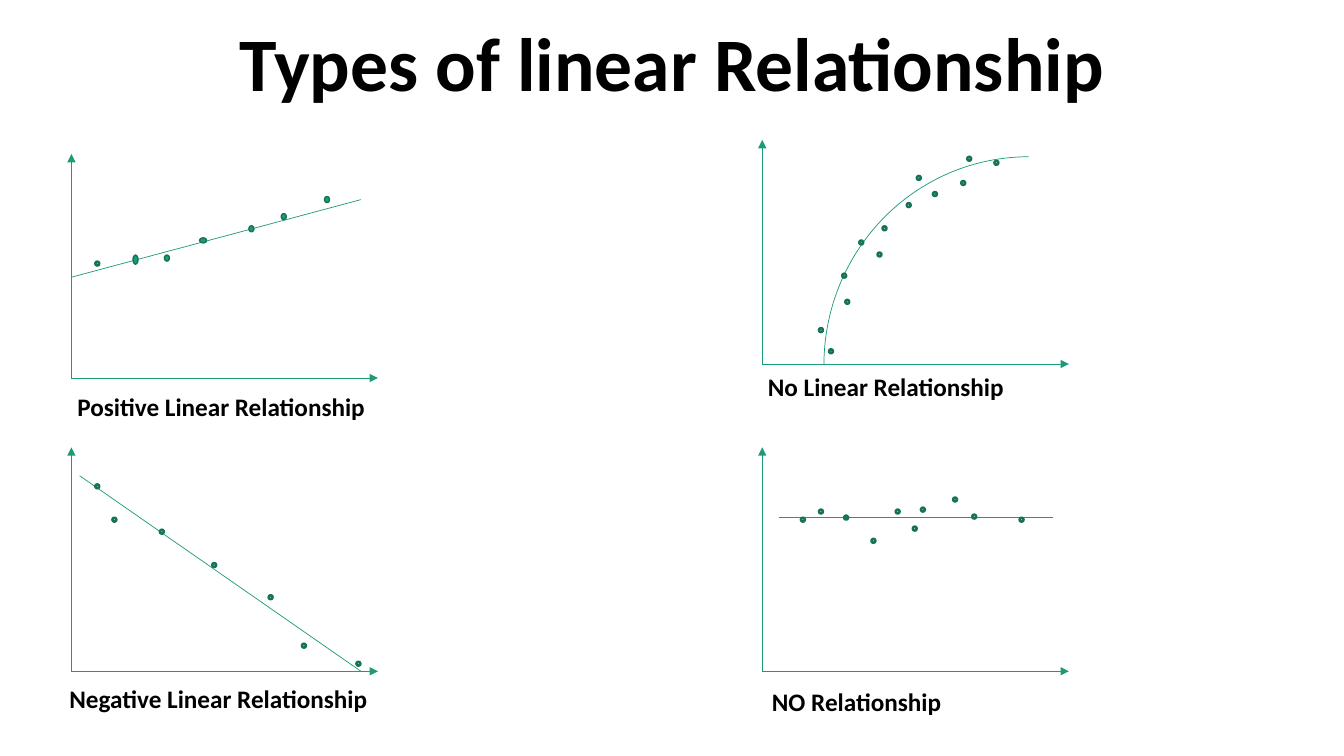
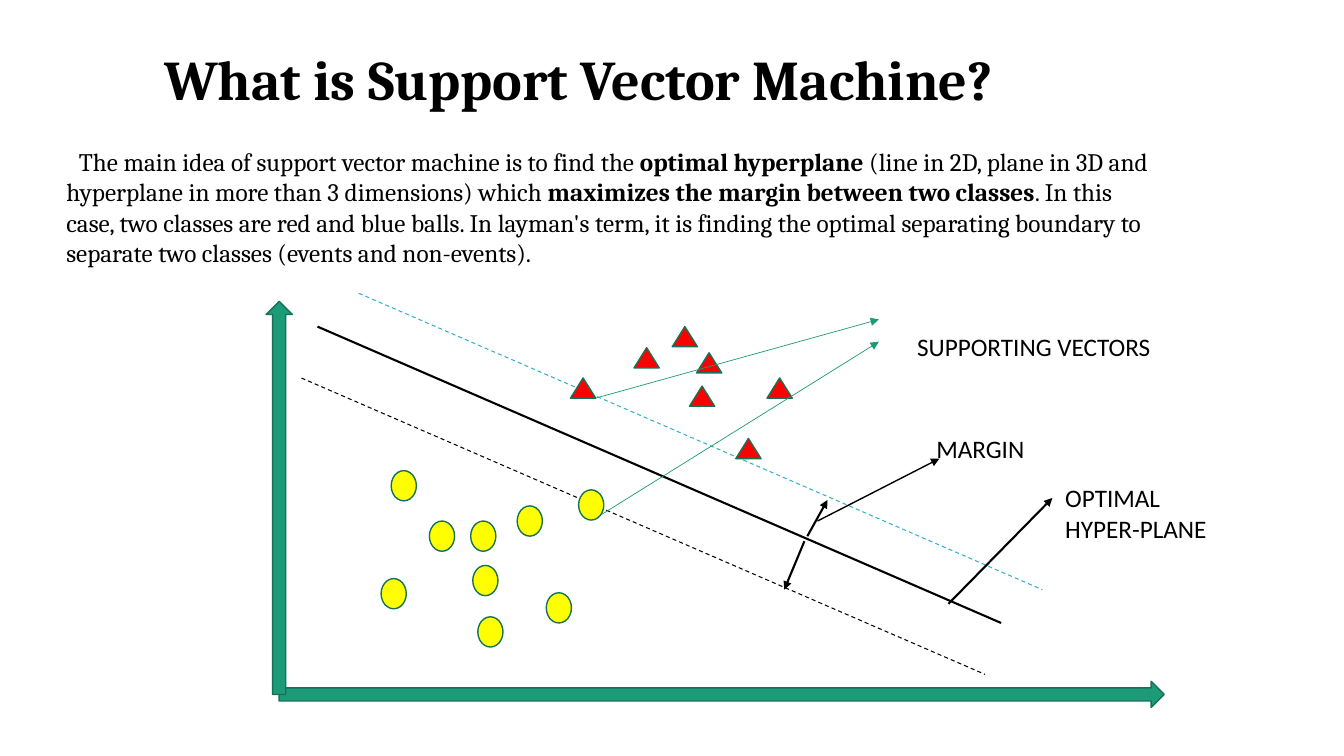
from lxml import etree
from pptx import Presentation
from pptx.dml.color import RGBColor
from pptx.enum import dml, shapes, text
from pptx.oxml.ns import qn
from pptx.util import Pt

GREEN, DARK_GREEN, BLUE = "1D9A78", "157259", "36AFCE"
BLACK, RED, YELLOW = "000000", "FF0000", "FFFF00"
SANS, SERIF = "Calibri", "Cambria"
SHAPE = shapes.MSO_SHAPE
AXIS_WIDTH, AXIS_HEIGHT = 219, 160
DOT = 3.6

POSITIVE_DOTS = [
    (95, 182.2, DOT, 6.5), (200.9, 152.6, DOT, 4.3), (142.6, 169.9, 5, DOT),
    (177.8, 161.3, DOT, 4.3), (231.8, 140.4, DOT, 4.3), (117.4, 182.2, DOT, 4.3),
]
POSITIVE_RINGS = [(67.7, 186.5)]
NEGATIVE_RINGS = [
    (67.7, 345.6), (79.9, 369.4), (113.8, 378), (151.2, 401.8),
    (191.5, 424.8), (215.3, 459.4), (254.2, 472.3),
]
CURVE_RINGS = [
    (654.5, 125.3), (647.3, 144.7), (601.2, 195.1), (690.5, 111.6), (613.4, 171.4),
    (591.8, 249.1), (584.6, 234), (630, 161.3), (709.9, 114.5), (666, 136.8),
    (626.4, 180), (686.2, 128.9), (603.4, 213.8),
]
FLAT_RINGS = [
    (639.4, 363.6), (602.6, 367.9), (694.1, 367.2), (651.6, 375.8), (622.1, 384.5),
    (680.4, 355), (727.9, 369.4), (657.4, 362.2), (571.7, 369.4), (584.6, 363.6),
]
RED_CLASS = [
    (407.5, 270), (497.5, 252), (452.9, 248.4), (525.6, 313.2),
    (480.2, 233.3), (547.9, 270), (492.5, 275.8),
]
YELLOW_CLASS = [
    (413.3, 349.9), (279.4, 336.2), (272.2, 413.3), (306.7, 372.2), (337.7, 403.9),
    (369.4, 361.4), (336.2, 372.2), (341.3, 440.6), (390.2, 423.4),
]


def rgb(hex_color):
    return RGBColor.from_string(hex_color)


def add_blank_slide(deck):
    return deck.slides.add_slide(deck.slide_layouts[6])


def add_line(slide, start, end, color=GREEN, width=0.5, arrow=False, dashed=False):
    line = slide.shapes.add_connector(
        shapes.MSO_CONNECTOR.STRAIGHT, *(Pt(v) for v in (*start, *end)))
    line.line.color.rgb = rgb(color)
    line.line.width = Pt(width)
    if dashed:
        line.line.dash_style = dml.MSO_LINE.DASH
    properties = line._element.spPr
    if arrow:
        outline = properties.find(qn("a:ln"))
        etree.SubElement(outline, qn("a:tailEnd"), type="triangle")
    etree.SubElement(properties, qn("a:effectLst"))


def add_figure(slide, kind, box, fill=GREEN, outline=DARK_GREEN, width=1):
    figure = slide.shapes.add_shape(kind, *(Pt(v) for v in box))
    figure.shadow.inherit = False
    if fill:
        figure.fill.solid()
        figure.fill.fore_color.rgb = rgb(fill)
    else:
        figure.fill.background()
    figure.line.color.rgb = rgb(outline)
    figure.line.width = Pt(width)
    return figure


def add_scatter(slide, kind, places, size, fill=GREEN):
    for place in places:
        add_figure(slide, kind, (*place, *size), fill)


def add_text_frame(slide, box, wrap=False):
    frame = slide.shapes.add_textbox(*(Pt(v) for v in box)).text_frame
    frame.word_wrap = wrap
    frame.auto_size = text.MSO_AUTO_SIZE.SHAPE_TO_FIT_TEXT
    return frame


def add_run(paragraph, words, size=18, bold=False, face=SANS):
    run = paragraph.add_run()
    run.text = words
    run.font.size = Pt(size)
    run.font.bold = bold
    run.font.name = face
    run.font.color.rgb = rgb(BLACK)


def add_label(slide, box, lines, size=18, bold=False, align=text.PP_ALIGN.LEFT):
    frame = add_text_frame(slide, box)
    for index, words in enumerate(lines):
        paragraph = frame.add_paragraph() if index else frame.paragraphs[0]
        paragraph.alignment = align
        add_run(paragraph, words, size, bold)


def indent(paragraph, left=0, first=0):
    properties = paragraph._p.get_or_add_pPr()
    properties.set("marL", str(Pt(left)))
    properties.set("indent", str(Pt(first)))


def add_graph(slide, origin, caption, caption_box, rings, trend=None):
    """Two axes from the origin, a straight trend, ring markers and a caption."""
    x, y = origin
    add_line(slide, origin, (x, y - AXIS_HEIGHT), arrow=True)
    add_line(slide, origin, (x + AXIS_WIDTH, y), arrow=True)
    if trend:
        add_line(slide, *trend)
    add_scatter(slide, SHAPE.DONUT, rings, (DOT, DOT))
    add_label(slide, caption_box, [caption], bold=True)


def build_relationships(deck):
    slide = add_blank_slide(deck)
    add_label(slide, (153.4, 8, 653, 72.7), ["Types of linear Relationship"], 54, True,
              text.PP_ALIGN.CENTER)
    left, right, bottom = 51, 544.5, 479.5
    add_graph(slide, (left, 270), "Positive Linear Relationship", (48.2, 275.8, 221.8, 29),
              POSITIVE_RINGS, ((left, 198), (257.8, 142.6)))
    for box in POSITIVE_DOTS:
        add_figure(slide, SHAPE.OVAL, box)
    add_graph(slide, (left, bottom), "Negative Linear Relationship", (42.5, 484.6, 229, 29),
              NEGATIVE_RINGS, ((56.9, 339.8), (257.8, bottom)))
    curve = add_figure(slide, SHAPE.ARC, (586, 114.5, 297.4, 292.3), None, GREEN, 0.5)
    curve.rotation = 270
    add_graph(slide, (right, 260), "No Linear Relationship", (541.4, 261.4, 184.3, 29),
              CURVE_RINGS)
    add_graph(slide, (right, bottom), "NO Relationship", (544.3, 486.7, 136, 29),
              FLAT_RINGS, ((556.6, 369.4), (752.4, 369.4)))


def add_explanation(slide):
    frame = add_text_frame(slide, (40.3, 28, 790.6, 170), wrap=True)
    title = frame.paragraphs[0]
    indent(title, left=70)
    add_run(title, "What is Support Vector Machine?", 40, True, SERIF)
    body = frame.add_paragraph()
    indent(body, first=9)
    body.space_before = Pt(25)
    for words, bold in (
        ("The main idea of support vector machine is to find the ", False),
        ("optimal hyperplane ", True),
        ("(line in 2D, plane in 3D and hyperplane in more than 3 dimensions) which ", False),
        ("maximizes the margin between two classes", True),
        (". In this case, two classes are red and blue balls. In layman's term, it is "
         "finding the optimal separating boundary to separate two classes "
         "(events and non-events).", False),
    ):
        add_run(body, words, bold=bold, face=SERIF)


def build_vector_machine(deck):
    slide = add_blank_slide(deck)
    add_explanation(slide)
    add_figure(slide, SHAPE.RIGHT_ARROW, (199.4, 486.7, 632.2, 18.7))
    add_figure(slide, SHAPE.UP_ARROW, (190.1, 215.3, 18.7, 280.8))

    run, drop = 488.3, 211.7
    for (x, y), color, width, dashed in (
        ((226.8, 233.3), BLACK, 1.5, False),
        ((215.3, 270), BLACK, 0.75, True),
        ((256.3, 209.5), BLUE, 0.75, True),
    ):
        add_line(slide, (x, y), (x + run, y + drop), color, width, dashed=dashed)

    add_scatter(slide, SHAPE.ISOSCELES_TRIANGLE, RED_CLASS, (18, 14.4), RED)
    add_scatter(slide, SHAPE.OVAL, YELLOW_CLASS, (18, 21.6), YELLOW)

    for start, end, color, width in (
        ((576.7, 383), (591.1, 357.1), BLACK, 1.5),
        ((574.6, 386.6), (560.2, 421.2), BLACK, 1.5),
        ((583.9, 372.2), (671, 327.6), BLACK, 1),
        ((677.5, 431.3), (751.7, 355.7), BLACK, 1.5),
        ((425.5, 284.4), (627.8, 228.2), GREEN, 0.5),
        ((429.1, 367.9), (627.8, 244.1), GREEN, 0.5),
    ):
        add_line(slide, start, end, color, width, arrow=True)

    add_label(slide, (648, 233.3, 182.9, 29), ["SUPPORTING VECTORS"])
    add_label(slide, (661.7, 306, 77.8, 29), ["MARGIN"])
    add_label(slide, (753.8, 341.3, 116.6, 51), ["OPTIMAL", "HYPER-PLANE"])


def main():
    deck = Presentation()
    deck.slide_width, deck.slide_height = Pt(960), Pt(540)
    build_relationships(deck)
    build_vector_machine(deck)
    deck.save("out.pptx")


if __name__ == "__main__":
    main()
